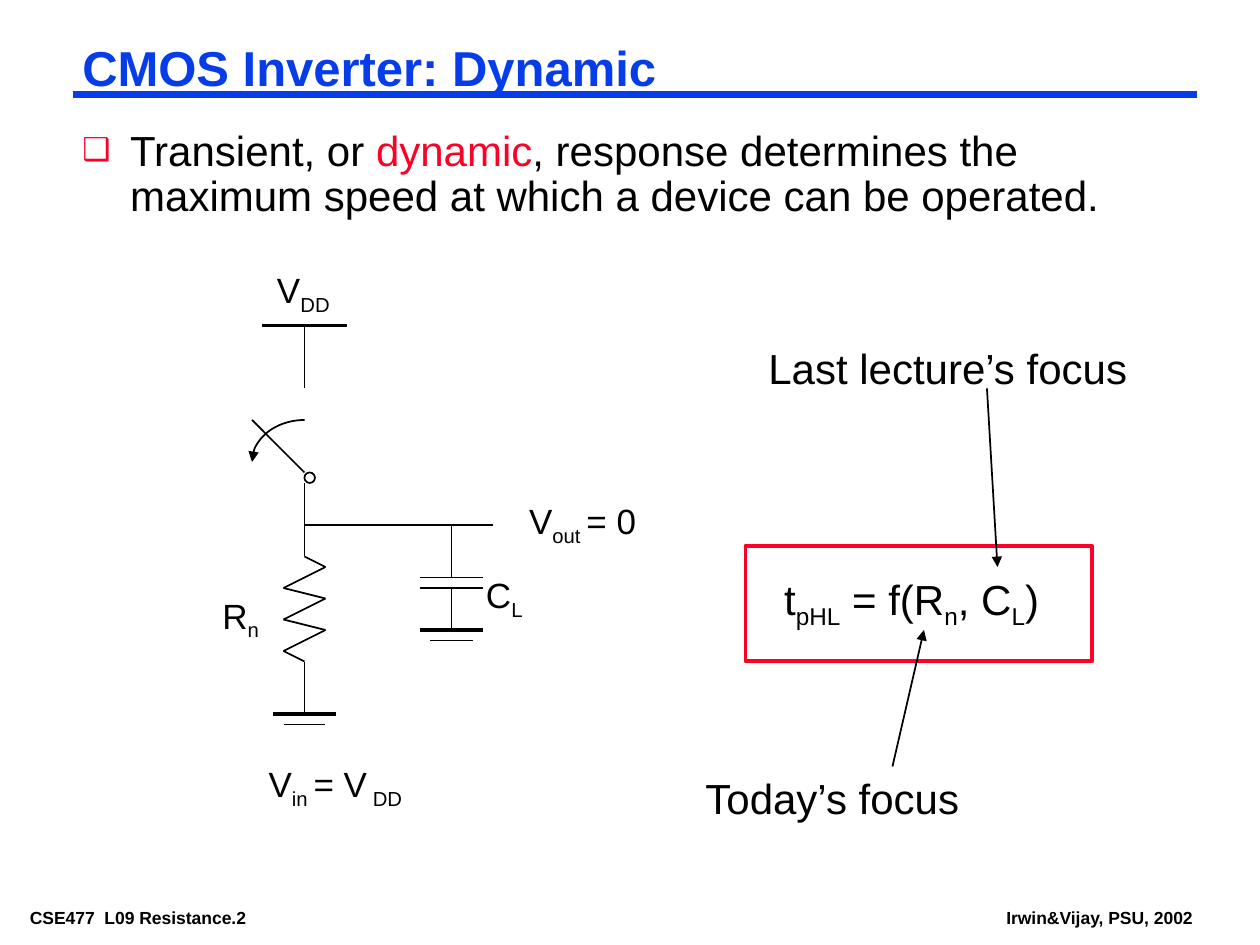
from dataclasses import dataclass
from itertools import pairwise
from typing import Any

from lxml.etree import SubElement
from pptx import Presentation
from pptx.dml.color import RGBColor
from pptx.enum.shapes import MSO_CONNECTOR, MSO_SHAPE as Shape
from pptx.enum.text import MSO_ANCHOR, MSO_AUTO_SIZE as AutoSize, PP_ALIGN
from pptx.oxml.ns import qn
from pptx.util import Inches, Pt

BLACK = RGBColor(0x00, 0x00, 0x00)
BLUE = RGBColor(0x06, 0x3D, 0xE8)
RED = RGBColor(0xFC, 0x01, 0x28)
FONT = "Arial"
THIN, THICK, RULE = 1, 2.25, 4.5
CELLS_PER_INCH = 12  # the slide is a grid of 120 columns by 90 rows


def cells(count):
    return Inches(count / CELLS_PER_INCH)


def style(font, size, color=BLACK, bold=False):
    font.name, font.size, font.bold = FONT, Pt(size), bold
    font.color.rgb = color


def set_frame(frame, inset=(0.1, 0.05), wrap=False):
    frame.margin_left = frame.margin_right = Inches(inset[0])
    frame.margin_top = frame.margin_bottom = Inches(inset[1])
    frame.vertical_anchor = MSO_ANCHOR.TOP
    frame.word_wrap = wrap
    frame.auto_size = AutoSize.SHAPE_TO_FIT_TEXT


def add_arrowhead(shape, end):
    SubElement(shape.line._get_or_add_ln(), qn(f"a:{end}"), type="triangle")


@dataclass
class Region:
    """A part of the slide; positions are columns and rows from its corner."""
    page: Any
    left: float
    top: float

    def place(self, column, row):
        return cells(self.left + column), cells(self.top + row)

    def line(self, start, end, width=THIN, color=BLACK, arrow=False):
        connector = self.page.shapes.add_connector(
            MSO_CONNECTOR.STRAIGHT, *self.place(*start), *self.place(*end))
        connector.line.width, connector.line.color.rgb = Pt(width), color
        SubElement(connector._element.spPr, qn("a:effectLst"))
        if arrow:
            add_arrowhead(connector, "tailEnd")

    def outline(self, kind, column, row, width, height, weight=THIN, color=BLACK):
        shape = self.page.shapes.add_shape(
            kind, *self.place(column, row), cells(width), cells(height))
        shape.shadow.inherit = False
        shape.fill.background()
        shape.line.width, shape.line.color.rgb = Pt(weight), color
        return shape

    def text_box(self, column, row, width, height, **frame_options):
        box = self.page.shapes.add_textbox(
            *self.place(column, row), cells(width), cells(height))
        set_frame(box.text_frame, **frame_options)
        return box.text_frame.paragraphs[0]

    def label(self, column, row, width, *pieces, size=20):
        """Pieces alternate between normal text and subscript."""
        para = self.text_box(column, row, width, size * 0.28)
        for index, piece in enumerate(pieces):
            span = para.add_run()
            span.text = piece
            style(span.font, size)
            if index % 2:
                span.font._element.set("baseline", "-25000")

    def ground(self, column, row):
        self.line((column - 3, row), (column + 3, row), THICK)
        self.line((column - 2, row + 1), (column + 2, row + 1))


def draw_heading(page, region, width):
    region.line((0, 5), (width, 5), RULE, BLUE)
    title = page.shapes.title
    title.left, title.top = region.place(0, 0)
    title.width, title.height = cells(width), cells(5.5)
    set_frame(title.text_frame, (0.07, 0.03), wrap=True)
    title.text_frame.text = "CMOS Inverter: Dynamic"
    para = title.text_frame.paragraphs[0]
    para.alignment, para.line_spacing = PP_ALIGN.LEFT, 0.87
    style(para.runs[0].font, 28, BLUE, bold=True)


def draw_bullet(region, width):
    para = region.text_box(0, 0, width, 9.4, inset=(0.07, 0.03), wrap=True)
    para.line_spacing = 0.9
    props = para._p.get_or_add_pPr()
    props.set("marL", str(Inches(0.38)))
    props.set("indent", str(Inches(-0.38)))
    bullet_color = SubElement(props, qn("a:buClr"))
    SubElement(bullet_color, qn("a:srgbClr"), val=str(RED))
    SubElement(props, qn("a:buSzPct"), val="75000")
    SubElement(props, qn("a:buFont"), typeface=FONT)
    SubElement(props, qn("a:buChar"), char="❑")
    for text, color in (
            ("Transient, or ", BLACK), ("dynamic", RED),
            (", response determines the maximum speed at which "
             "a device can be operated.", BLACK)):
        span = para.add_run()
        span.text = text
        style(span.font, 24, color)


def draw_circuit(region):
    wire, load = 9, 23  # columns of the main wire and the capacitor

    # Supply and open switch
    region.label(5.2, 0, 7.4, "V", "DD")
    region.line((wire - 4, 6), (wire + 4, 6), THICK)
    region.line((wire, 6), (wire, 12))
    region.outline(Shape.OVAL, wire, 20, 1, 1)
    region.line((wire - 5, 15), (wire, 20))
    swing = region.outline(Shape.ARC, wire - 5, 15, 10, 8)
    swing.adjustments[0], swing.adjustments[1] = 108, 162  # left to top
    add_arrowhead(swing, "headEnd")

    # Output wire
    region.line((wire, 21), (wire, 28))
    region.line((wire, 25), (wire + 18, 25))
    region.label(29.2, 22, 12.6, "V", "out ", "= 0")

    # Resistor
    peaks = [(wire + side, 29 + 3 * turn + lag)
             for turn in range(3) for side, lag in ((2, 0), (-2, 2))]
    for start, end in pairwise([(wire, 28), *peaks, (wire, 38)]):
        region.line(start, end)
    region.line((wire, 38), (wire, 43))
    region.ground(wire, 43)
    region.label(0, 31, 5.9, "R", "n")

    # Load capacitor
    region.line((load, 25), (load, 30))
    for row in (30, 31):
        region.line((load - 3, row), (load + 3, row))
    region.line((load, 31), (load, 35))
    region.ground(load, 35)
    region.label(25.1, 29, 5.9, "C", "L")

    # Input condition
    region.label(4.4, 47, 15.1, "V", "in ", "= V", " DD")


def draw_focus(region):
    region.label(7.5, 22, 28, "t", "pHL", " = f(R", "n", ", C", "L", ")", size=24)
    region.outline(Shape.RECTANGLE, 5, 20, 33, 11, THICK, RED)
    region.label(6, 0, 36.6, "Last lecture’s focus", size=24)
    region.label(0, 41, 27, "Today’s focus", size=24)
    region.line((28, 5), (29, 22), arrow=True)
    region.line((19, 41), (22, 28), arrow=True)


def draw_footer(region):
    for column, width, text in ((0, 29.4, "CSE477  L09 Resistance.2"),
                                (93, 19.6, "Irwin&Vijay, PSU, 2002")):
        para = region.text_box(column, 0, width, 2.7, inset=(0.07, 0.03))
        para.text = text
        style(para.runs[0].font, 10, bold=True)


def main():
    deck = Presentation()
    deck.slide_width, deck.slide_height = cells(120), cells(90)
    page = deck.slides.add_slide(deck.slide_layouts[5])
    draw_footer(Region(page, 2, 86))
    draw_heading(page, Region(page, 7, 4), 107)
    draw_circuit(Region(page, 20, 25))
    draw_focus(Region(page, 66, 32))
    draw_bullet(Region(page, 7, 12), 107)
    deck.save("out.pptx")


if __name__ == "__main__":
    main()
